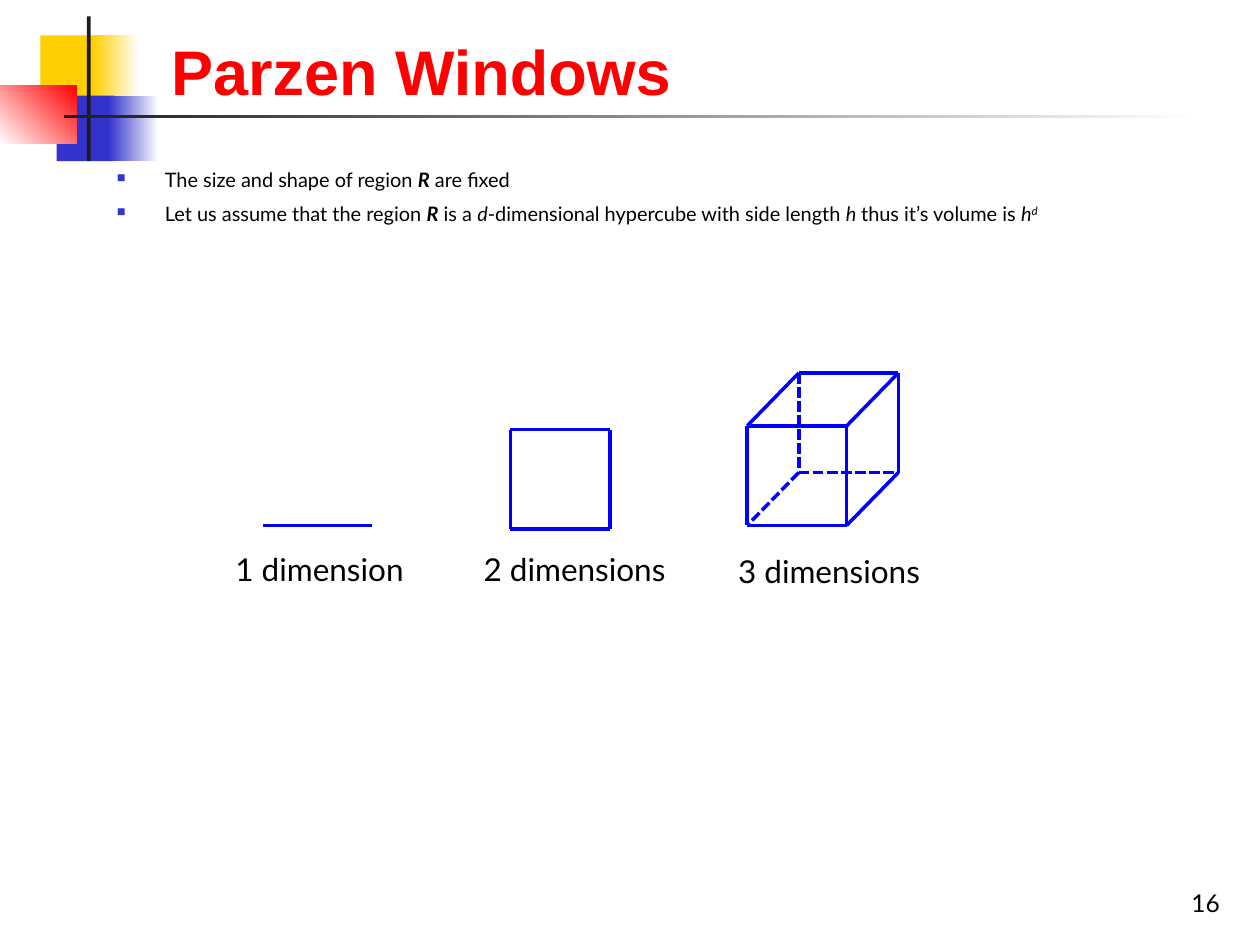
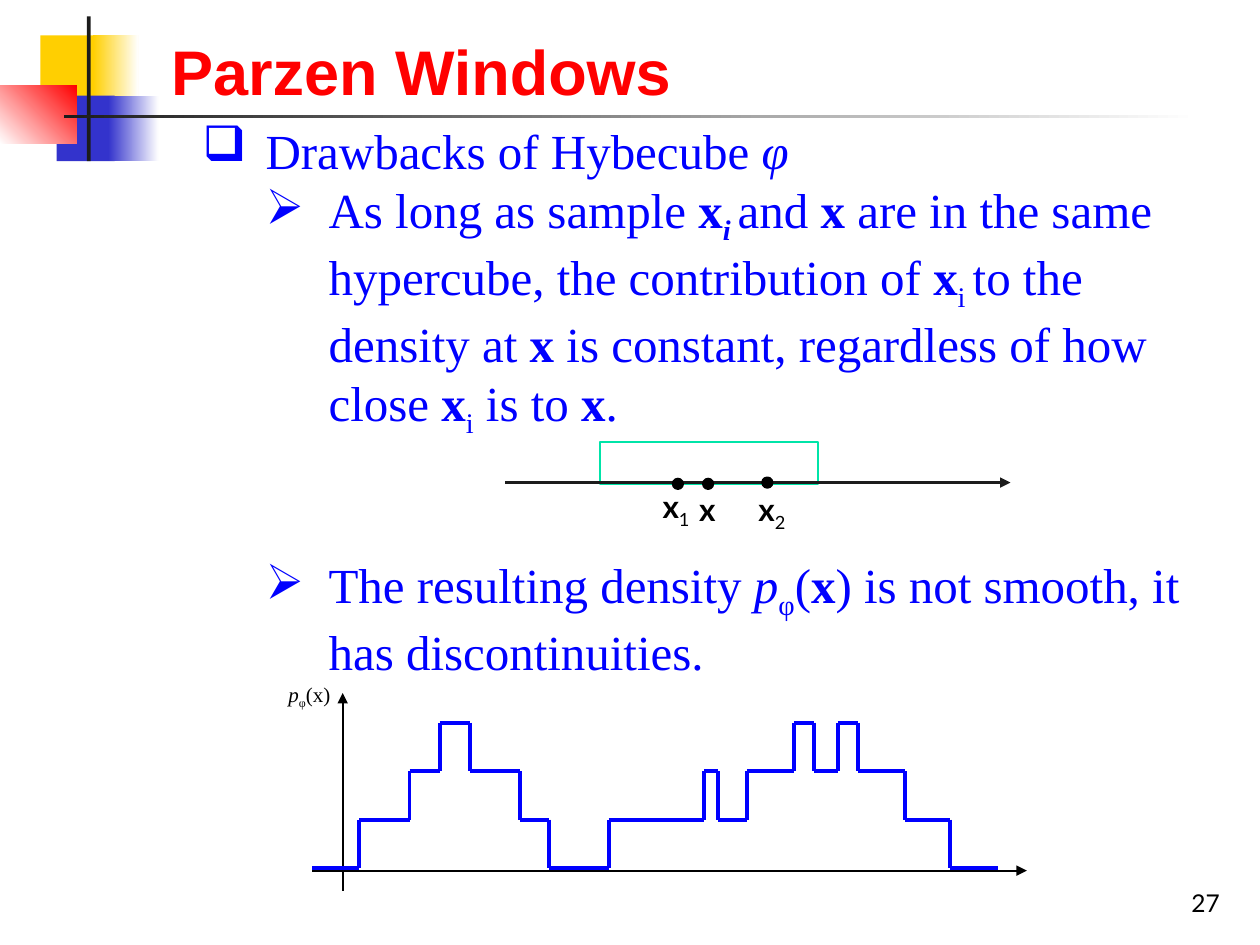
from dataclasses import dataclass

from lxml.etree import SubElement
from pptx import Presentation
from pptx.dml.color import RGBColor
from pptx.enum.dml import MSO_LINE
from pptx.enum.shapes import MSO_CONNECTOR, MSO_SHAPE
from pptx.enum.text import MSO_ANCHOR, PP_ALIGN
from pptx.oxml.ns import qn
from pptx.util import Inches, Pt


@dataclass(frozen=True)
class Theme:
    black: str = "000000"
    white: str = "FFFFFF"
    red: str = "FF0000"
    blue: str = "0000FF"
    navy: str = "3333CC"
    gold: str = "FFCF01"
    ink: str = "1C1C1C"
    mint: str = "00E4A8"
    sans: str = "Lato"
    head: str = "Arial"
    serif: str = "Times New Roman"
    title: float = 36
    large: float = 28
    label: float = 18
    page: float = 14
    tiny: float = 12
    small: float = 11.4


T = Theme()


def write(slide, box, paras, size=T.label, font=T.sans, color=T.black, bold=False,
          align=PP_ALIGN.LEFT, anchor=MSO_ANCHOR.TOP, marks=(), tint=None,
          scale=100, indent=0.5, gaps=()):
    """Each run is (text, style): b bold, i italic, - subscript, + superscript.
    Each mark is (bullet, left margin)."""
    frame = slide.shapes.add_textbox(*map(Inches, box)).text_frame
    frame.word_wrap = True
    frame.vertical_anchor = anchor
    for n, runs in enumerate(paras):
        para = frame.paragraphs[0] if n == 0 else frame.add_paragraph()
        para.alignment = align
        if n:
            para.space_before = Pt(gaps[n - 1])
        if marks:
            sign, left = marks[n]
            props = para._p.get_or_add_pPr()
            props.set("marL", str(Inches(left)))
            props.set("indent", str(-Inches(indent)))
            hue = SubElement(props, qn("a:buClr"))
            SubElement(hue, qn("a:srgbClr"), val=tint or color)
            SubElement(props, qn("a:buSzPct"), val=str(scale * 1000))
            SubElement(props, qn("a:buChar"), char=sign)
        for text, style in runs:
            run = para.add_run()
            run.text = text
            run.font.size = Pt(size)
            run.font.name = font
            run.font.color.rgb = RGBColor.from_string(color)
            run.font.bold = bold or "b" in style
            run.font.italic = "i" in style
            if "-" in style or "+" in style:
                shift = "-25000" if "-" in style else "30000"
                run._r.get_or_add_rPr().set("baseline", shift)


def draw(slide, start, end, color=T.blue, width=2, dash=False, arrow=False):
    ends = [Inches(v) for v in (*start, *end)]
    link = slide.shapes.add_connector(MSO_CONNECTOR.STRAIGHT, *ends)
    link.line.color.rgb = RGBColor.from_string(color)
    link.line.width = Pt(width)
    if dash:
        link.line.dash_style = MSO_LINE.SQUARE_DOT
    props = link._element.spPr
    if arrow:
        SubElement(props.find(qn("a:ln")), qn("a:tailEnd"), type="triangle")
    SubElement(props, qn("a:effectLst"))


deck = Presentation()
deck.slide_width, deck.slide_height = Inches(10), Inches(7.5)

# Shared frame: corner blocks, rules, page number and title
bars = [
    ((0.32, 0.28, 0.48, 0.52), T.gold, None, 0),
    ((0.74, 0.28, 0.36, 0.52), T.gold, T.white, 0),
    ((0.45, 0.76, 0.46, 0.52), T.navy, None, 0),
    ((0.86, 0.76, 0.4, 0.52), T.navy, T.white, 0),
    ((0, 0.68, 0.61, 0.46), T.white, T.red, 45),
    ((0.69, 0.13, 0.03, 1.15), T.ink, None, 0),
    ((0.51, 0.91, 9, 0.03), T.ink, T.white, 0),
]
for page in ("16", "27"):
    slide = deck.slides.add_slide(deck.slide_layouts[6])
    for box, first, last, angle in bars:
        bar = slide.shapes.add_shape(MSO_SHAPE.RECTANGLE, *map(Inches, box))
        bar.shadow.inherit = False
        bar.line.fill.background()
        if last:
            bar.fill.gradient()
            bar.fill.gradient_angle = angle
            for stop, hue in zip(bar.fill.gradient_stops, (first, last)):
                stop.color.rgb = RGBColor.from_string(hue)
        else:
            bar.fill.solid()
            bar.fill.fore_color.rgb = RGBColor.from_string(first)
    write(slide, (9.17, 6.83, 0.61, 0.5), [[(page, "")]], size=T.page,
          align=PP_ALIGN.RIGHT, anchor=MSO_ANCHOR.BOTTOM)
    write(slide, (1.26, 0.39, 8.52, 0.52), [[("Parzen Windows", "")]], size=T.title,
          font=T.head, color=T.red, bold=True, anchor=MSO_ANCHOR.BOTTOM)
cubes, flaws = deck.slides

# Slide 1: region statement
write(cubes, (0.83, 1.28, 8.82, 0.7), [
    [("The size and shape of region ", ""), ("R", "bi"), (" are fixed", "")],
    [("Let us assume that the region ", ""), ("R", "bi"), (" is a ", ""), ("d", "i"),
     ("-dimensional hypercube with side length ", ""), ("h ", "i"),
     ("thus it’s volume is ", ""), ("h", "i"), ("d", "i+")],
], size=T.small, marks=[("■", 0.38)] * 2, tint=T.navy, scale=60, indent=0.38, gaps=[6])

# Line, square and cube
side = 0.79
deep, rise = 0.41, -0.42
draw(cubes, (2.09, 4.17), (2.95, 4.17))
for x, y, back in ((4.05, 3.41, False), (5.93, 3.38, False),
                   (5.93 + deep, 3.38 + rise, True)):
    right, base = x + side, y + side
    draw(cubes, (x, base), (right, base), dash=back)
    draw(cubes, (x, y), (right, y))
    draw(cubes, (x, y), (x, base), dash=back)
    draw(cubes, (right, y), (right, base))
for col in (0, 1):
    for row in (0, 1):
        x, y = 5.93 + col * side, 3.38 + row * side
        draw(cubes, (x + deep, y + rise), (x, y), dash=(col, row) == (0, 1))

for left, top, name in ((1.77, 4.32, "1 dimension"), (3.74, 4.32, "2 dimensions"),
                        (5.76, 4.33, "3 dimensions")):
    write(cubes, (left, top, 1.73, 0.4), [[(name, "")]])

# Slide 2: drawbacks
write(flaws, (1.51, 0.91, 8.01, 5.03), [
    [("Drawbacks of Hybecube ", ""), ("φ", "i")],
    [("As long as sample ", ""), ("x", "b"), ("i ", "bi-"), ("and ", ""), ("x", "b"),
     (" are in the same hypercube, the contribution of ", ""), ("x", "b"), ("i ", "-"),
     ("to the density at ", ""), ("x ", "b"),
     ("is constant, regardless of how close ", ""), ("x", "b"), ("i", "-"),
     (" is to ", ""), ("x", "b"), (".", "")],
    [("The resulting density ", ""), ("p", "i"), ("φ", "-"), ("(", ""), ("x", "b"),
     (") is not smooth, it has discontinuities.", "")],
], size=T.large, font=T.serif, color=T.blue,
    marks=[("❑", 0.5), ("➢", 1), ("➢", 1)], gaps=[0, 66])

# Window around x with its samples
frame = flaws.shapes.add_shape(MSO_SHAPE.RECTANGLE, *map(Inches, (4.76, 3.51, 1.73, 0.33)))
frame.shadow.inherit = False
frame.fill.background()
frame.line.color.rgb = RGBColor.from_string(T.mint)
frame.line.width = Pt(1.25)
draw(flaws, (4.01, 3.83), (8.02, 3.83), color=T.ink, width=1.25, arrow=True)
for x, y, left, top, sub in ((5.58, 3.8, 5.45, 3.84, ""), (5.34, 3.8, 5.16, 3.82, "1"),
                             (6.05, 3.79, 5.92, 3.84, "2")):
    dot = flaws.shapes.add_shape(MSO_SHAPE.OVAL, *map(Inches, (x, y, 0.08, 0.08)))
    dot.shadow.inherit = False
    dot.fill.solid()
    dot.fill.fore_color.rgb = RGBColor.from_string(T.black)
    dot.line.color.rgb = RGBColor.from_string(T.black)
    dot.line.width = Pt(1.25)
    runs = [("x", "b")] + ([(sub, "-")] if sub else [])
    write(flaws, (left, top, 0.58 if sub else 0.39, 0.44), [runs])

# Density axes
draw(flaws, (2.48, 6.91), (8.15, 6.91), color=T.black, width=1.25, arrow=True)
draw(flaws, (2.72, 7.07), (2.72, 5.5), color=T.black, width=1.25, arrow=True)
draw(flaws, (2.86, 6.51), (2.86, 6.88), color=T.black, width=1.25)
write(flaws, (2.19, 5.36, 0.64, 0.33), [[("p", "i"), ("φ", "-"), ("(x)", "")]],
      size=T.tiny, font=T.serif)

# Density steps: start of each step and its height in windows
steps = [(2.48, 0), (2.85, 1), (3.25, 2), (3.49, 3), (3.73, 2), (4.13, 1), (4.36, 0),
         (4.83, 1), (5.59, 2), (5.7, 1), (5.93, 2), (6.3, 3), (6.46, 2), (6.65, 3),
         (6.81, 2), (7.18, 1), (7.54, 0), (7.92, 0)]
for (x, n), (end, after) in zip(steps, steps[1:]):
    y, turn = 6.89 - 0.385 * n, 6.89 - 0.385 * after
    draw(flaws, (x, y), (end, y), width=2.25)
    if after != n:
        draw(flaws, (end, y), (end, turn), width=2.25)

deck.save("out.pptx")
